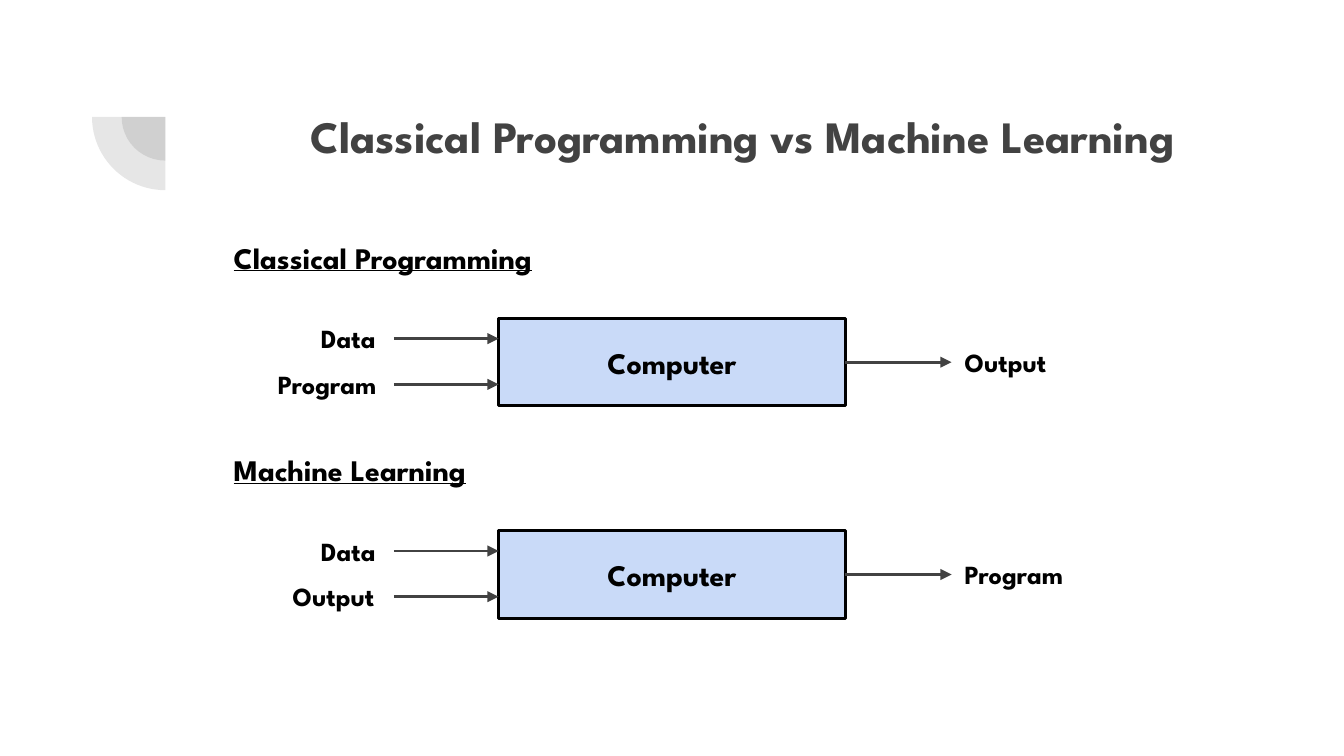
from lxml.etree import SubElement
from pptx import Presentation
from pptx.dml.color import RGBColor
from pptx.enum.shapes import MSO_CONNECTOR, MSO_SHAPE
from pptx.enum.text import MSO_ANCHOR, PP_ALIGN
from pptx.oxml.ns import qn
from pptx.util import Inches, Pt

DARK, BLACK, LIGHT_BLUE = "424242", "000000", "C9DAF8"


def paint(colour_format, hex_colour):
    colour_format.rgb = RGBColor.from_string(hex_colour)


def write(holder, wording, size, colour=BLACK, align=PP_ALIGN.LEFT, anchor=MSO_ANCHOR.TOP):
    frame = holder.text_frame
    frame.word_wrap = True
    frame.vertical_anchor = anchor
    frame.margin_left = frame.margin_right = Inches(0.1)
    frame.margin_top = frame.margin_bottom = Inches(0.1)
    frame.text = wording
    paragraph = frame.paragraphs[0]
    paragraph.alignment = align
    paragraph.font.name = "League Spartan"
    paragraph.font.size = Pt(size)
    paragraph.font.bold = True
    paint(paragraph.font.color, colour)
    return paragraph


deck = Presentation()
deck.slide_width = Inches(10)
deck.slide_height = deck.slide_width * 9 // 16
slide = deck.slides.add_slide(deck.slide_layouts[5])
shapes = slide.shapes

arc_x, arc_y = 1.23, 0.87
for diameter in (0.65, 1.09):
    arc = shapes.add_shape(
        MSO_SHAPE.PIE,
        Inches(arc_x - diameter / 2), Inches(arc_y - diameter / 2),
        Inches(diameter), Inches(diameter),
    )
    arc.adjustments[0], arc.adjustments[1] = 108, 162
    arc.rotation = 270
    arc.shadow.inherit = False
    arc.line.fill.background()
    arc.fill.solid()
    paint(arc.fill.fore_color, DARK)
    tint = arc.fill._xPr.find(qn("a:solidFill"))[0]
    SubElement(tint, qn("a:alpha"), val="13000")

title = shapes.title
title.left, title.top = Inches(1.43), Inches(0.65)
title.width, title.height = Inches(7.69), Inches(1.09)
heading = write(title, "Classical Programming vs Machine Learning", 24, DARK, PP_ALIGN.CENTER)
heading.line_spacing = 1.15
heading.space_before, heading.space_after = Pt(0), Pt(16)
heading._p.get_or_add_pPr().set("marL", str(Inches(0.5)))

section_left, arrow_left, computer_left = 1.64, 2.93, 3.71
computer_width, computer_height = 2.58, 0.65
result_left = 7.08
label_height, label_rise = 0.45, 0.22
first_top, section_step, input_step = 1.68, 1.58, 0.34
label_places = {"Data": (2.29, 0.63), "Program": (1.97, 1.04), "Output": (2.08, 0.93)}

sections = [
    ("Classical Programming", ["Data", "Program"], "Output"),
    ("Machine Learning", ["Data", "Output"], "Program"),
]

for row, (approach, inputs, result) in enumerate(sections):
    top = first_top + row * section_step
    section = shapes.add_textbox(Inches(section_left), Inches(top), Inches(7.69), Inches(1.8))
    write(section, approach, 16).font.underline = True

    computer_top = top + 0.69
    computer = shapes.add_shape(
        MSO_SHAPE.RECTANGLE, Inches(computer_left), Inches(computer_top),
        Inches(computer_width), Inches(computer_height),
    )
    computer.shadow.inherit = False
    computer.fill.solid()
    paint(computer.fill.fore_color, LIGHT_BLUE)
    paint(computer.line.color, BLACK)
    computer.line.width = Pt(1.5)
    write(computer, "Computer", 16, align=PP_ALIGN.CENTER, anchor=MSO_ANCHOR.MIDDLE)

    middle = computer_top + computer_height / 2
    flows = [
        (word, top + 0.84 + place * input_step, arrow_left, computer_left, *label_places[word])
        for place, word in enumerate(inputs)
    ]
    flows.append((result, middle, computer_left + computer_width, result_left, result_left, 1.04))

    for word, y, start, end, label_left, label_width in flows:
        arrow = shapes.add_connector(
            MSO_CONNECTOR.STRAIGHT, Inches(start), Inches(y), Inches(end), Inches(y)
        )
        if end == result_left:
            arrow.begin_connect(computer, 3)
            arrow.end_y = arrow.begin_y
        paint(arrow.line.color, DARK)
        arrow.line.width = Pt(1.5)
        SubElement(arrow.line._get_or_add_ln(), qn("a:tailEnd"), type="triangle")
        SubElement(arrow._element.spPr, qn("a:effectLst"))

        label = shapes.add_textbox(
            Inches(label_left), Inches(y - label_rise), Inches(label_width), Inches(label_height)
        )
        write(label, word, 14)

deck.save("out.pptx")
